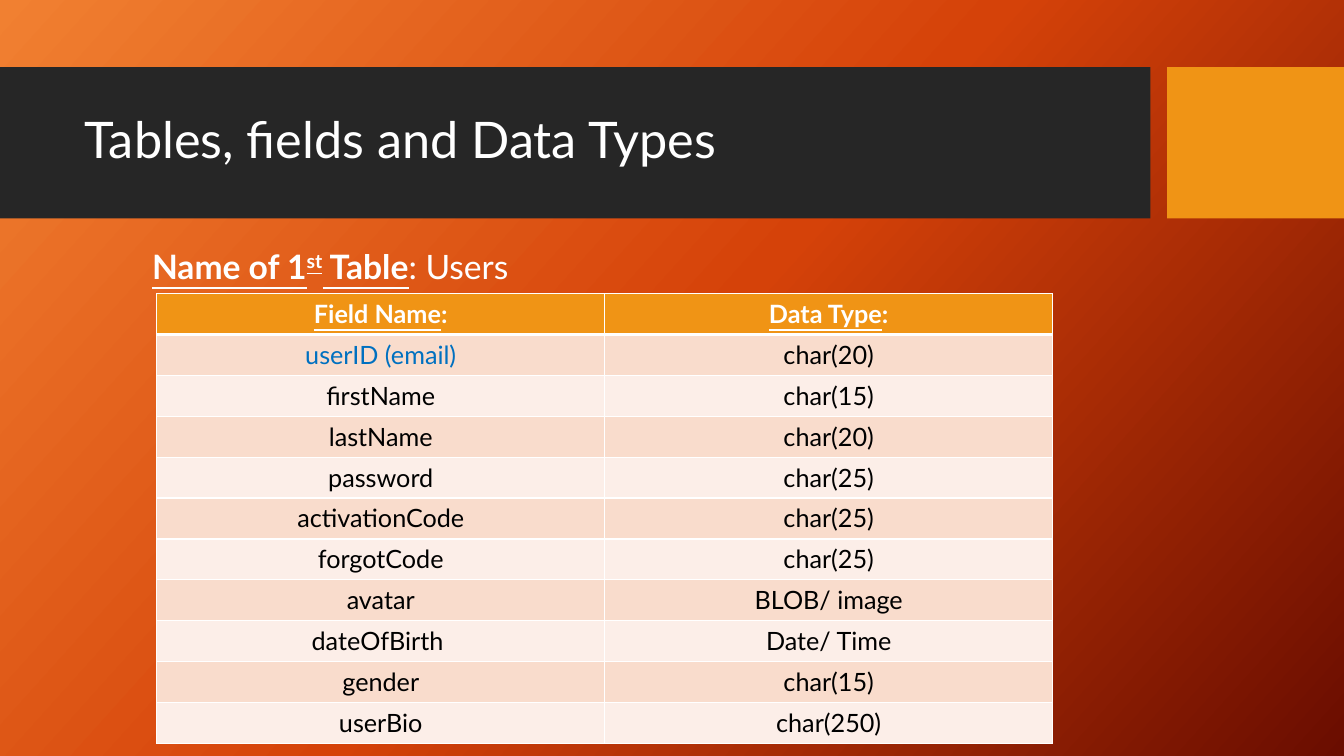
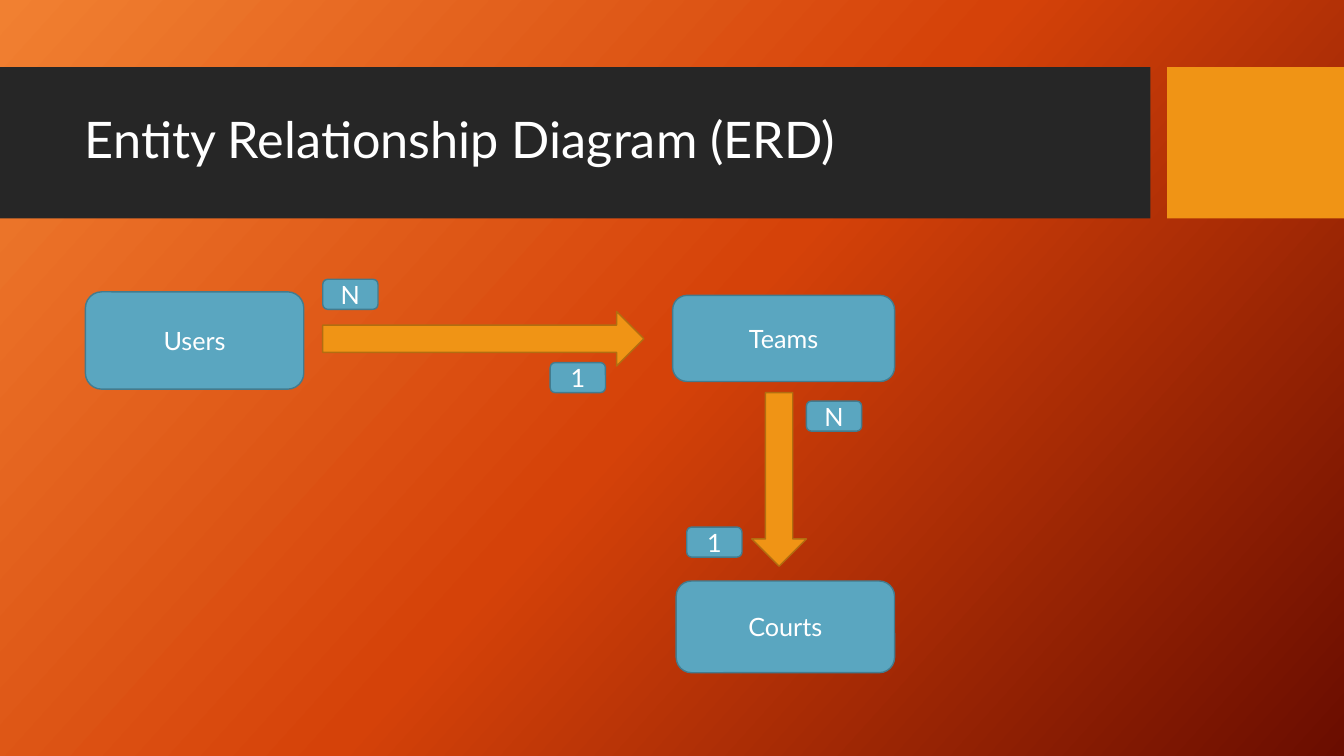
from copy import deepcopy
from pptx import Presentation
from pptx.dml.color import RGBColor
from pptx.enum.shapes import MSO_SHAPE as Kind
from pptx.enum.text import MSO_ANCHOR, PP_ALIGN
from pptx.oxml import parse_xml
from pptx.oxml.ns import nsdecls, qn
from pptx.util import Pt

WHITE = RGBColor(0xFF, 0xFF, 0xFF)
BLACK = RGBColor(0, 0, 0)
DARK = RGBColor(0x26, 0x26, 0x26)
ORANGE = RGBColor(0xF0, 0x94, 0x15)
BROWN = RGBColor(0xB2, 0x6D, 0x10)
TEAL = RGBColor(0x5A, 0xA6, 0xC0)
SLATE = RGBColor(0x43, 0x7B, 0x8E)
BLUE = RGBColor(0x00, 0x70, 0xC0)
PEACH = RGBColor(0xF9, 0xDC, 0xCC)
PALE = RGBColor(0xFC, 0xEE, 0xE8)
FADE = [RGBColor(0xF1, 0x80, 0x31), RGBColor(0xD5, 0x42, 0x09), RGBColor(0x6A, 0x0D, 0x00)]


def write(frame, text, size=18, color=WHITE, bold=False, under=False,
          lift=0, align=PP_ALIGN.CENTER, space=1.0):
    """Add one run to the first paragraph of a text frame."""
    para = frame.paragraphs[0]
    para.alignment, para.line_spacing = align, space
    run = para.add_run()
    run.text = text
    font = run.font
    font.name, font.size, font.bold, font.underline = "Lato", Pt(size), bold, under
    font.color.rgb = color
    if lift:
        run._r.get_or_add_rPr().set("baseline", str(lift * 1000))


def draw(slide, kind, left, top, width, height, fill, edge=None):
    shape = slide.shapes.add_shape(kind, Pt(left), Pt(top), Pt(width), Pt(height))
    shape.shadow.inherit = False
    shape.fill.solid()
    shape.fill.fore_color.rgb = fill
    if edge is None:
        shape.line.fill.background()
    else:
        shape.line.color.rgb = edge
        shape.line.width = Pt(1)
    shape.text_frame.vertical_anchor = MSO_ANCHOR.MIDDLE
    return shape


deck = Presentation()
deck.slide_width, deck.slide_height = Pt(960), Pt(540)
layout = deck.slide_layouts[5]

# Shared background
fill = layout.background.fill
fill.gradient()
fill.gradient_angle = 318
stops = layout.element.find(".//" + qn("a:gsLst"))
stops.append(deepcopy(stops[0]))
for i, stop in enumerate(fill.gradient_stops):
    stop.color.rgb = FADE[i]
    stop.position = i / 2

# Shared title place
head = layout.placeholders[0]
head.left, head.top, head.width, head.height = Pt(53.5), Pt(59), Pt(757), Pt(85)
head.text_frame.vertical_anchor = MSO_ANCHOR.MIDDLE

# Slides with their titles
slides = []
for title in ("Tables, fields and Data Types", "Entity Relationship Diagram (ERD)"):
    slide = deck.slides.add_slide(layout)
    write(slide.shapes.title.text_frame, title, size=36, align=PP_ALIGN.LEFT, space=0.9)
    slides.append(slide)
users, erd = slides

# Title bands, moved to the layout behind its title
for i, (left, width, color) in enumerate([(0, 821.75, DARK), (833.75, 126.25, ORANGE)]):
    band = draw(users, Kind.RECTANGLE, left, 48, width, 108, color)
    band.element.find(".//" + qn("p:cNvPr")).set("id", str(20 + i))
    layout.shapes.element.insert(2 + i, band.element)

# Table caption
note = users.shapes.add_textbox(Pt(101.5), Pt(175), Pt(757), Pt(62)).text_frame
note.word_wrap = True
for text, bold, lift in [("Name of 1", True, 0), ("st", True, 30),
                         (" Table", True, 0), (": Users", False, 0)]:
    write(note, text, size=24, bold=bold, under=bold, lift=lift,
          align=PP_ALIGN.LEFT, space=0.9)

# Table of fields
rows = [
    ("Field Name", "Data Type"),
    ("userID (email)", "char(20)"),
    ("firstName", "char(15)"),
    ("lastName", "char(20)"),
    ("password", "char(25)"),
    ("activationCode", "char(25)"),
    ("forgotCode", "char(25)"),
    ("avatar", "BLOB/ image"),
    ("dateOfBirth ", "Date/ Time"),
    ("gender", "char(15)"),
    ("userBio", "char(250)"),
]
grid = users.shapes.add_table(len(rows), 2, Pt(112), Pt(209.75), Pt(640),
                              Pt(29.2 * len(rows))).table
for r, row in enumerate(rows):
    grid.rows[r].height = Pt(29.2)
    for c, text in enumerate(row):
        cell = grid.cell(r, c)
        for side in "LRTB":
            thick = (r, side) in [(0, "B"), (1, "T")]
            cell._tc.get_or_add_tcPr().append(parse_xml(
                f'<a:ln{side} {nsdecls("a")} w="{Pt(3 if thick else 1)}"><a:solidFill>'
                f'<a:srgbClr val="{WHITE}"/></a:solidFill></a:ln{side}>'))
        cell.fill.solid()
        if r == 0:
            cell.fill.fore_color.rgb = ORANGE
            write(cell.text_frame, text, bold=True, under=True)
            write(cell.text_frame, ":", bold=True)
        else:
            cell.fill.fore_color.rgb = PEACH if r % 2 else PALE
            write(cell.text_frame, text, color=BLUE if (r, c) == (1, 0) else BLACK)

# Arrows between entities
draw(erd, Kind.RIGHT_ARROW, 230.5, 222.5, 229.5, 39, ORANGE, BROWN)
draw(erd, Kind.DOWN_ARROW, 537, 280.5, 39, 124, ORANGE, BROWN)

# Entities, then the marks at each end of an arrow
tags = [("N", 230.5, 199.5), ("1", 393, 259), ("N", 576, 286.5), ("1", 490.5, 376.5)]
nodes = [
    ("Users", 61, 208.5, 156, 69.5),
    ("Teams", 480.5, 211, 158.5, 61.5),
    ("Courts", 483, 415, 156, 65.5),
] + [(*tag, 39.5, 21.5) for tag in tags]
for text, *place in nodes:
    node = draw(erd, Kind.ROUNDED_RECTANGLE, *place, TEAL, SLATE)
    write(node.text_frame, text)

deck.save("out.pptx")
